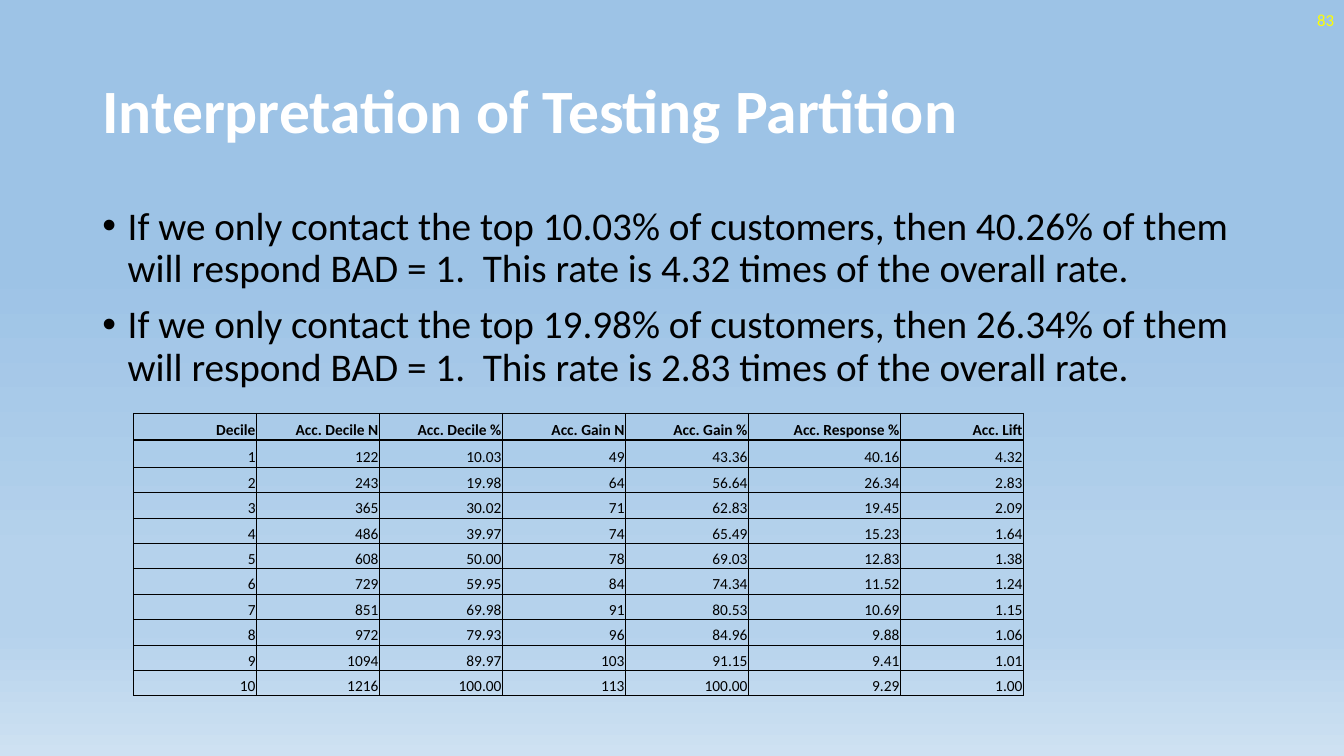
from lxml import etree
from pptx import Presentation
from pptx.dml.color import RGBColor
from pptx.enum.text import MSO_ANCHOR as Anchor, PP_ALIGN as Align
from pptx.oxml.ns import qn
from pptx.util import Cm, Pt

FONT = "Calibri"
COLORS = {
    "title": "FFFFFF",
    "text": "000000",
    "number": "FFFF00",
    "border": "000000",
    "sky": "9DC3E6",
    "haze": "B5D2EC",
    "horizon": "CEE1F2",
}
BACKGROUND_STOPS = [(35, "sky"), (74, "haze"), (83, "haze"), (100, "horizon")]

TITLE = "Interpretation of Testing Partition"
FINDINGS = [
    "If we only contact the top 10.03% of customers, then 40.26% of them "
    "will respond BAD = 1.  This rate is 4.32 times of the overall rate.",
    "If we only contact the top 19.98% of customers, then 26.34% of them "
    "will respond BAD = 1.  This rate is 2.83 times of the overall rate.",
]
DECILES = [
    ("Decile", "Acc. Decile N", "Acc. Decile %", "Acc. Gain N", "Acc. Gain %",
     "Acc. Response %", "Acc. Lift"),
    ("1", "122", "10.03", "49", "43.36", "40.16", "4.32"),
    ("2", "243", "19.98", "64", "56.64", "26.34", "2.83"),
    ("3", "365", "30.02", "71", "62.83", "19.45", "2.09"),
    ("4", "486", "39.97", "74", "65.49", "15.23", "1.64"),
    ("5", "608", "50.00", "78", "69.03", "12.83", "1.38"),
    ("6", "729", "59.95", "84", "74.34", "11.52", "1.24"),
    ("7", "851", "69.98", "91", "80.53", "10.69", "1.15"),
    ("8", "972", "79.93", "96", "84.96", "9.88", "1.06"),
    ("9", "1094", "89.97", "103", "91.15", "9.41", "1.01"),
    ("10", "1216", "100.00", "113", "100.00", "9.29", "1.00"),
]
COLUMN_WIDTHS = [3.1] * 5 + [3.83, 3.1]
ROW_HEIGHTS = [0.68] * 2 + [0.64] * 9


def format_runs(para, size, color, bold=False):
    for span in para.runs:
        span.font.name = FONT
        span.font.size = Pt(size)
        span.font.bold = bold
        span.font.color.rgb = RGBColor.from_string(COLORS[color])


def paint_background(page):
    fill = page.background.fill
    fill.gradient()
    fill.gradient_angle = 270
    stops = next(page.element.iter(qn("a:gsLst")))
    for old_stop in list(stops):
        stops.remove(old_stop)
    for percent, color in BACKGROUND_STOPS:
        stop = etree.SubElement(stops, qn("a:gs"), pos=str(percent * 1000))
        etree.SubElement(stop, qn("a:srgbClr"), val=COLORS[color])


def place_title(page):
    title = page.shapes.title
    title.left, title.top = Cm(2.33), Cm(1.01)
    title.width, title.height = Cm(29.21), Cm(3.68)
    frame = title.text_frame
    frame.text = TITLE
    frame.vertical_anchor = Anchor.MIDDLE
    para = frame.paragraphs[0]
    para.alignment = Align.LEFT
    para.line_spacing = 0.9
    format_runs(para, 44, "title", bold=True)


def add_text_box(page, left, top, width, height, lines):
    box = page.shapes.add_textbox(Cm(left), Cm(top), Cm(width), Cm(height))
    frame = box.text_frame
    frame.word_wrap = True
    frame.text = "\n".join(lines)
    return frame


def add_bullet(para):
    properties = para._p.get_or_add_pPr()
    properties.set("marL", str(Cm(0.64)))
    properties.set("indent", str(-Cm(0.64)))
    etree.SubElement(properties, qn("a:buFont"), typeface="Arial")
    etree.SubElement(properties, qn("a:buChar"), char="•")


def add_findings(page):
    frame = add_text_box(page, 2.33, 5.07, 29.21, 12.09, FINDINGS)
    for index, para in enumerate(frame.paragraphs):
        add_bullet(para)
        para.line_spacing = 0.9
        if index:
            para.space_before = Pt(10)
        format_runs(para, 28, "text")


def add_page_number(page):
    frame = add_text_box(page, 26.25, 0, 7.62, 1.01, ["83"])
    frame.vertical_anchor = Anchor.MIDDLE
    para = frame.paragraphs[0]
    para.alignment = Align.RIGHT
    format_runs(para, 12, "number")


def set_borders(cell, top, bottom):
    properties = cell._tc.get_or_add_tcPr()
    for side, points in (("L", 0.5), ("R", 0.5), ("T", top), ("B", bottom)):
        line = etree.SubElement(properties, qn("a:ln" + side), w=str(Pt(points)))
        paint = etree.SubElement(line, qn("a:solidFill"))
        etree.SubElement(paint, qn("a:srgbClr"), val=COLORS["border"])


def fill_cell(cell, text, row):
    cell.text = text
    cell.vertical_anchor = Anchor.BOTTOM
    cell.margin_left = cell.margin_right = cell.margin_top = Cm(0.02)
    cell.margin_bottom = 0
    # The rule under the header row is heavier
    set_borders(cell, top=2 if row == 1 else 0.5, bottom=2 if row == 0 else 0.5)
    cell.fill.background()
    para = cell.text_frame.paragraphs[0]
    para.alignment = Align.RIGHT
    format_runs(para, 11, "text", bold=row == 0)


def add_decile_table(page):
    frame = page.shapes.add_table(
        len(DECILES), len(COLUMN_WIDTHS), Cm(3.36), Cm(10.41),
        Cm(sum(COLUMN_WIDTHS)), Cm(sum(ROW_HEIGHTS)))
    table = frame.table
    table.horz_banding = False
    for column, width in zip(table.columns, COLUMN_WIDTHS):
        column.width = Cm(width)
    for row, height in zip(table.rows, ROW_HEIGHTS):
        row.height = Cm(height)
    for row, values in enumerate(DECILES):
        for column, text in enumerate(values):
            fill_cell(table.cell(row, column), text, row)


def main():
    deck = Presentation()
    deck.slide_width, deck.slide_height = Cm(33.87), Cm(19.05)
    title_only = deck.slide_layouts[5]
    page = deck.slides.add_slide(title_only)

    # Backdrop and heading
    paint_background(page)
    place_title(page)

    # Findings and the figures behind them
    add_findings(page)
    add_page_number(page)
    add_decile_table(page)

    deck.save("out.pptx")


if __name__ == "__main__":
    main()
